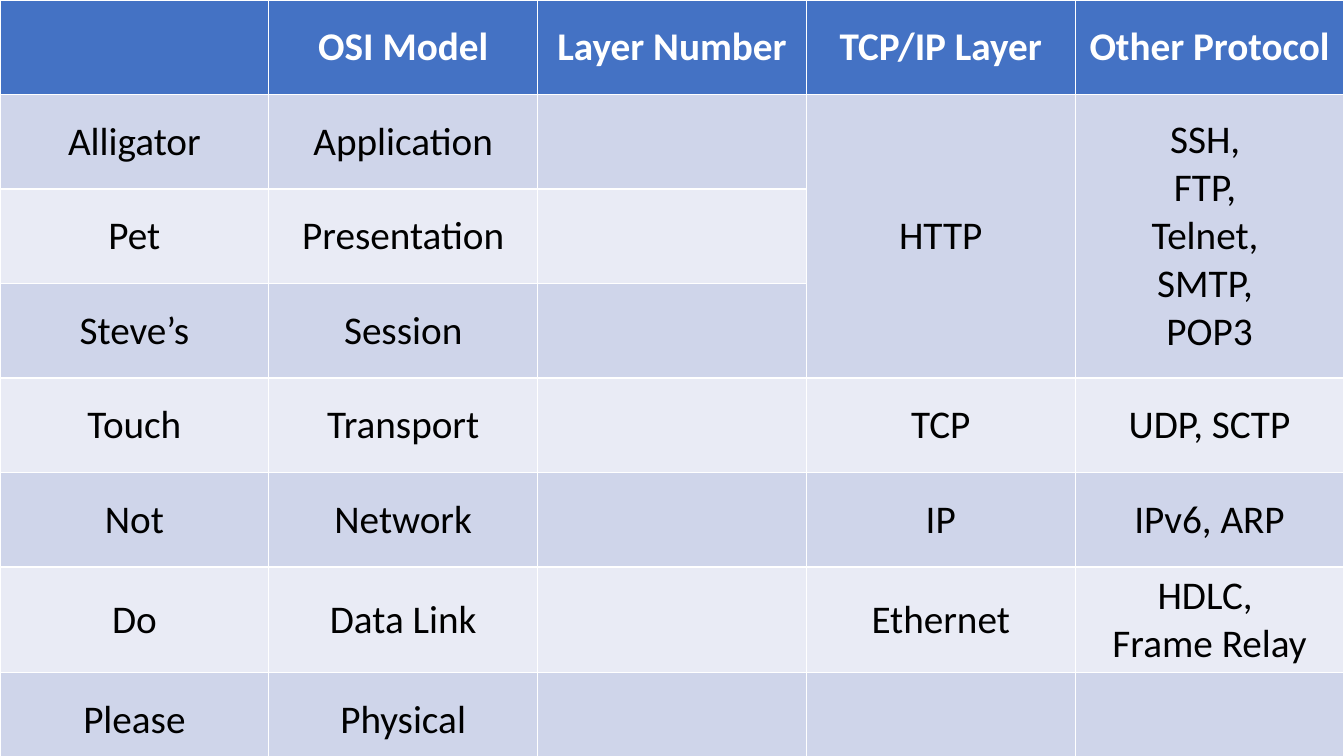
from pptx import Presentation
from pptx.dml.color import RGBColor
from pptx.enum.text import MSO_ANCHOR, PP_ALIGN
from pptx.util import Inches, Pt

HEADER_BLUE = RGBColor(0x44, 0x72, 0xC4)
BAND_DARK = RGBColor(0xCF, 0xD5, 0xEA)
BAND_LIGHT = RGBColor(0xE9, 0xEB, 0xF5)
WHITE = RGBColor(0xFF, 0xFF, 0xFF)
BLACK = RGBColor(0x00, 0x00, 0x00)

ROWS = [
    ["", "OSI Model", "Layer Number", "TCP/IP Layer", "Other Protocol"],
    ["Alligator", "Application", "", "HTTP", "SSH, \nFTP, \nTelnet, \nSMTP, \nPOP3"],
    ["Pet", "Presentation", "", "", ""],
    ["Steve’s", "Session", "", "", ""],
    ["Touch", "Transport", "", "TCP", "UDP, SCTP"],
    ["Not", "Network", "", "IP", "IPv6, ARP"],
    ["Do", "Data Link", "", "Ethernet", "HDLC, \nFrame Relay"],
    ["Please", "Physical", "", "", ""],
]

presentation = Presentation()
presentation.slide_width = Inches(13.33)
presentation.slide_height = Inches(7.5)
slide = presentation.slides.add_slide(presentation.slide_layouts[6])

# The default table style supplies the white rules, thicker below the header.
table = slide.shapes.add_table(
    len(ROWS), len(ROWS[0]), 0, 0, presentation.slide_width, presentation.slide_height
).table

for row_index, texts in enumerate(ROWS):
    is_header = row_index == 0
    if is_header:
        fill_color = HEADER_BLUE
    else:
        fill_color = BAND_DARK if row_index % 2 else BAND_LIGHT
    for column_index, text in enumerate(texts):
        cell = table.cell(row_index, column_index)
        cell.fill.solid()
        cell.fill.fore_color.rgb = fill_color
        cell.vertical_anchor = MSO_ANCHOR.MIDDLE
        cell.text = text
        for paragraph in cell.text_frame.paragraphs:
            paragraph.alignment = PP_ALIGN.CENTER
            paragraph.font.name = "Calibri"
            paragraph.font.size = Pt(28)
            paragraph.font.bold = is_header
            paragraph.font.color.rgb = WHITE if is_header else BLACK

# HTTP and its sibling protocols span the top three OSI layers.
for column_index in (3, 4):
    table.cell(1, column_index).merge(table.cell(3, column_index))

presentation.save("out.pptx")
